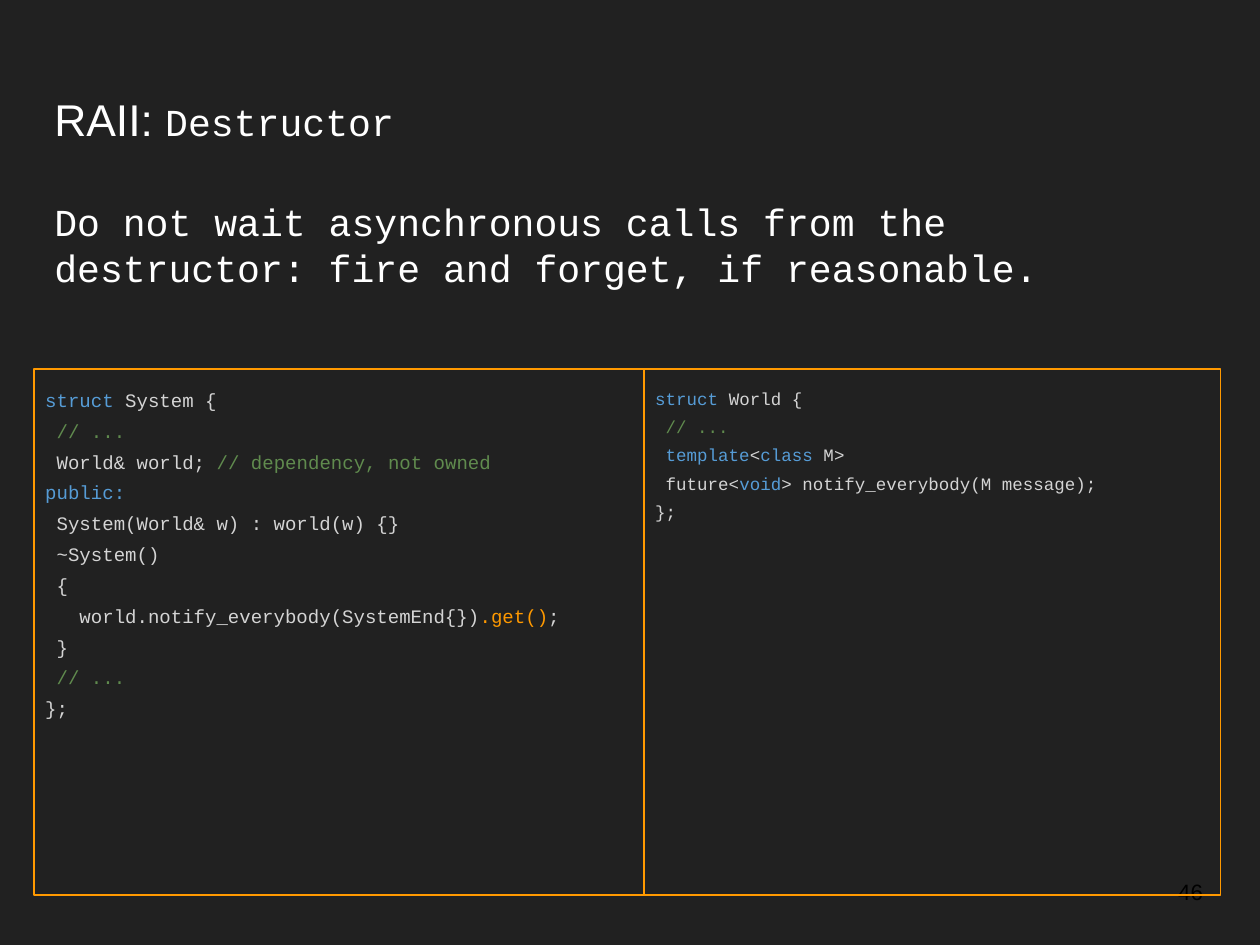
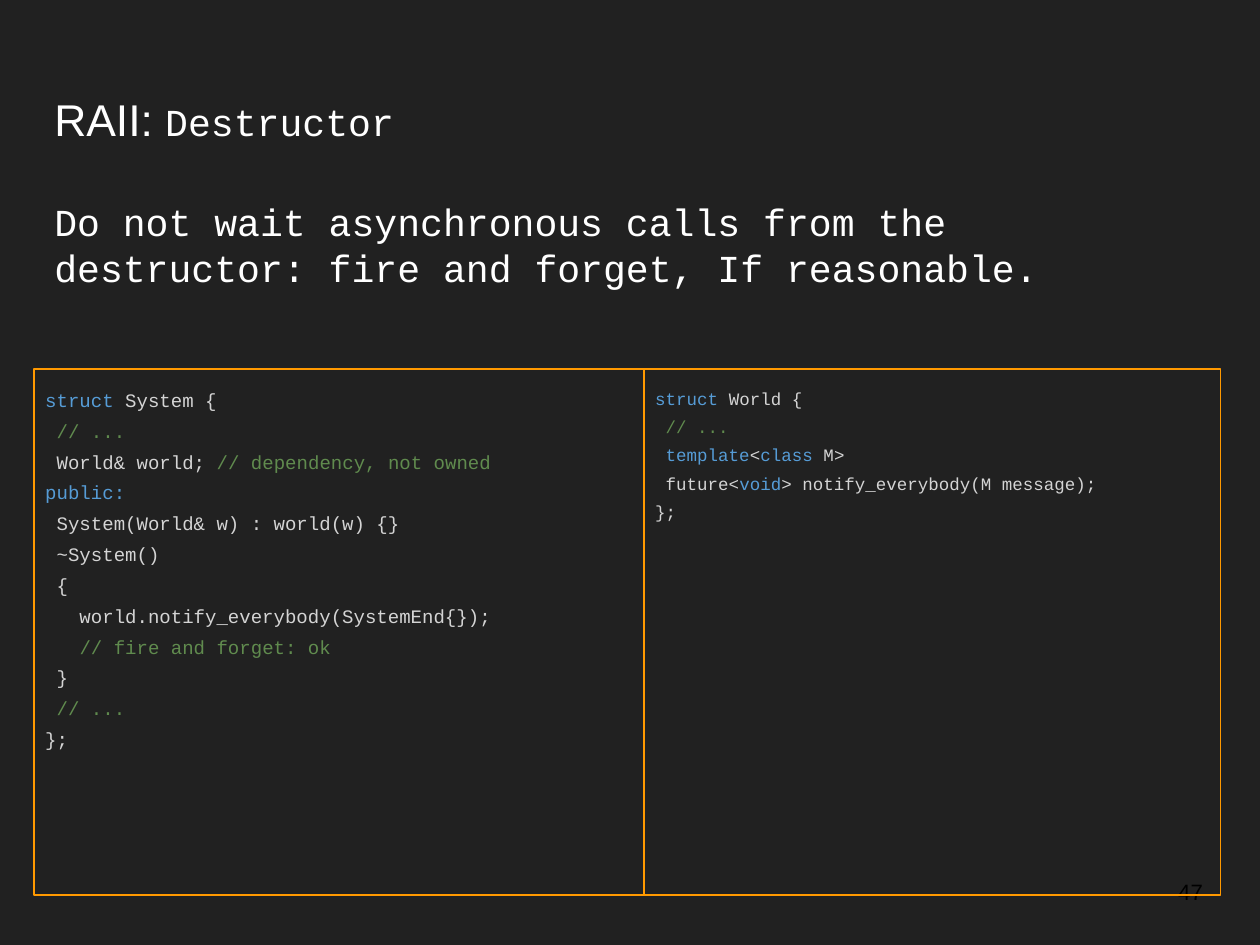
from pptx import Presentation
from pptx import util as u
from pptx.dml.color import RGBColor
from pptx.enum import shapes, text

PX = 8000  # EMU
SLIDE_W, SLIDE_H = 1260, 945
INSET = u.Inches(0.1)

BACKGROUND = RGBColor(0x21, 0x21, 0x21)
WHITE = RGBColor(0xFF, 0xFF, 0xFF)
BLACK = RGBColor(0, 0, 0)
ORANGE = RGBColor(0xFF, 0x99, 0x00)
KEYWORD = RGBColor(0x56, 0x9C, 0xD6)
COMMENT = RGBColor(0x60, 0x8B, 0x4E)
PLAIN = RGBColor(0xD4, 0xD4, 0xD4)
SANS, MONO = "Arial", "Courier New"

TITLE = [("RAII: ", SANS, 28), ("Destructor", MONO, 24)]

# Each code line is a list of (text, colour) runs.
SYSTEM_START = [
    [("struct", KEYWORD), (" System {", PLAIN)],
    [(" ", PLAIN), ("// ...", COMMENT)],
    [(" World& world; ", PLAIN), ("// dependency, not owned", COMMENT)],
    [("public:", KEYWORD)],
    [(" System(World& w) : world(w) {}", PLAIN)],
    [(" ~System()", PLAIN)],
    [(" {", PLAIN)],
]
SYSTEM_END = [
    [(" }", PLAIN)],
    [(" ", PLAIN), ("// ...", COMMENT)],
    [("};", PLAIN)],
]
WORLD = [
    [("struct", KEYWORD), (" World {", PLAIN)],
    [(" ", PLAIN), ("// ...", COMMENT)],
    [(" ", PLAIN), ("template", KEYWORD), ("<", PLAIN),
     ("class", KEYWORD), (" M>", PLAIN)],
    [(" future<", PLAIN), ("void", KEYWORD),
     ("> notify_everybody(M message);", PLAIN)],
    [("};", PLAIN)],
]
SLIDES = [
    {
        "number": "46",
        "advice": "Do not wait asynchronous calls from the destructor: "
                  "fire and forget, if reasonable.",
        "destructor": [
            [("   world.notify_everybody(SystemEnd{})", PLAIN),
             (".get()", ORANGE), (";", PLAIN)],
        ],
    },
    {
        "number": "47",
        "advice": "Do not wait asynchronous calls from the destructor: "
                  "fire and forget, If reasonable.",
        "destructor": [
            [("   world.notify_everybody(SystemEnd{});", PLAIN)],
            [("   ", PLAIN), ("// fire and forget: ok", COMMENT)],
        ],
    },
]

HEADING_LEFT, HEADING_W = 43, 1174
TITLE_TOP, TITLE_H = 81, 105
ADVICE_TOP, ADVICE_H = 187, 183
NUMBER_BOX = (1167, 856, 75, 72)
CODE_LEFT, CODE_TOP, CODE_H = 34, 369, 526
SYSTEM_W, WORLD_W = 610, 577


def set_up_frame(frame, anchor=text.MSO_ANCHOR.TOP):
    frame.word_wrap = True
    frame.vertical_anchor = anchor
    frame.margin_left = frame.margin_right = INSET
    frame.margin_top = frame.margin_bottom = INSET


def add_run(paragraph, words, font, size, colour):
    run = paragraph.add_run()
    run.text = words
    run.font.name = font
    run.font.size = u.Pt(size)
    run.font.color.rgb = colour


def add_label(slide, box, runs, colour, anchor=text.MSO_ANCHOR.TOP):
    """Add one paragraph made of (words, font, size) runs."""
    frame = slide.shapes.add_textbox(*(n * PX for n in box)).text_frame
    set_up_frame(frame, anchor)
    for words, font, size in runs:
        add_run(frame.paragraphs[0], words, font, size, colour)


def add_code(slide, left, width, lines, size):
    panel = slide.shapes.add_shape(
        shapes.MSO_SHAPE.RECTANGLE,
        *(n * PX for n in (left, CODE_TOP, width, CODE_H)))
    panel.shadow.inherit = False
    panel.fill.background()
    panel.line.color.rgb = ORANGE
    panel.line.width = u.Pt(0.75)
    frame = panel.text_frame
    set_up_frame(frame)
    for i, line in enumerate(lines):
        paragraph = frame.add_paragraph() if i else frame.paragraphs[0]
        paragraph.alignment = text.PP_ALIGN.LEFT
        paragraph.line_spacing = 1.35
        for words, colour in line:
            add_run(paragraph, words, MONO, size, colour)


def add_slide(prs, content):
    slide = prs.slides.add_slide(prs.slide_layouts[6])
    add_label(slide, (HEADING_LEFT, TITLE_TOP, HEADING_W, TITLE_H),
              TITLE, WHITE)
    add_label(slide, (HEADING_LEFT, ADVICE_TOP, HEADING_W, ADVICE_H),
              [(content["advice"], MONO, 24)], WHITE)
    add_label(slide, NUMBER_BOX, [(content["number"], SANS, 14)], BLACK,
              text.MSO_ANCHOR.MIDDLE)
    system = SYSTEM_START + content["destructor"] + SYSTEM_END
    add_code(slide, CODE_LEFT, SYSTEM_W, system, 12)
    add_code(slide, CODE_LEFT + SYSTEM_W, WORLD_W, WORLD, 11)


def main():
    prs = Presentation()
    prs.slide_width, prs.slide_height = SLIDE_W * PX, SLIDE_H * PX
    background = prs.slide_master.background.fill
    background.solid()
    background.fore_color.rgb = BACKGROUND
    for content in SLIDES:
        add_slide(prs, content)
    prs.save("out.pptx")


if __name__ == "__main__":
    main()
